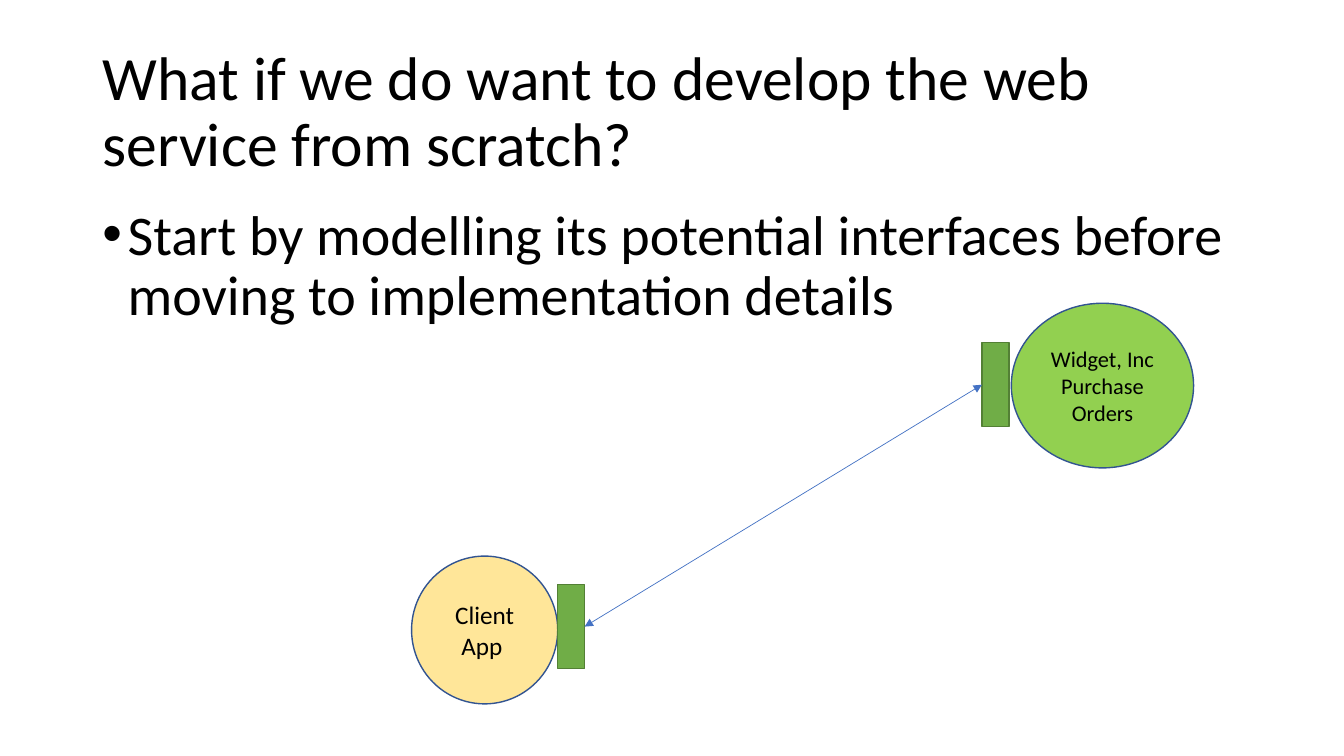
from lxml import etree
from pptx import Presentation
from pptx.dml.color import RGBColor
from pptx.enum.shapes import MSO_CONNECTOR, MSO_SHAPE
from pptx.enum.text import MSO_ANCHOR, MSO_AUTO_SIZE, PP_ALIGN
from pptx.oxml.ns import qn
from pptx.util import Inches, Pt

NODE, RECT = MSO_SHAPE.FLOWCHART_CONNECTOR, MSO_SHAPE.RECTANGLE
LINE = MSO_CONNECTOR.STRAIGHT
TOP, MID = MSO_ANCHOR.TOP, MSO_ANCHOR.MIDDLE
LEFT, CENTER = PP_ALIGN.LEFT, PP_ALIGN.CENTER
NOFIT = MSO_AUTO_SIZE.NONE

BLACK = RGBColor(0x00, 0x00, 0x00)
LIME = RGBColor(0x92, 0xD0, 0x50)
CREAM = RGBColor(0xFF, 0xE6, 0x99)
GREEN = RGBColor(0x70, 0xAD, 0x47)
MOSS = RGBColor(0x53, 0x80, 0x35)
NAVY = RGBColor(0x32, 0x54, 0x91)
BLUE = RGBColor(0x44, 0x72, 0xC4)

COLS, ROWS = 160, 90
WEST, EAST = 1, 3


class Deck:
    """Holds the style and the current slide, on a grid of 160 by 90."""
    font = "Calibri"

    def __init__(self):
        self.prs = Presentation()
        self.prs.slide_width = Inches(13.33)
        self.prs.slide_height = Inches(7.5)
        self.slide = self.prs.slides.add_slide(self.prs.slide_layouts[1])

    def spot(self, col, row, wide, high):
        x = self.prs.slide_width / COLS
        y = self.prs.slide_height / ROWS
        return [round(n) for n in (col * x, row * y, wide * x, high * y)]

    def label(self, frame, lines, size, align, anchor):
        frame.word_wrap = True
        frame.auto_size = NOFIT
        frame.vertical_anchor = anchor
        for i, line in enumerate(lines):
            para = frame.add_paragraph() if i else frame.paragraphs[0]
            para.alignment = align
            run = para.add_run()
            run.text = line
            run.font.name = self.font
            run.font.size = Pt(size)
            run.font.color.rgb = BLACK

    def holder(self, index, place, text, size, anchor, before=0):
        shape = self.slide.placeholders[index]
        shape.left, shape.top, shape.width, shape.height = self.spot(*place)
        self.label(shape.text_frame, [text], size, LEFT, anchor)
        para = shape.text_frame.paragraphs[0]
        para.line_spacing = 0.9
        para.space_before = Pt(before)
        return para

    def title(self, place, text):
        self.holder(0, place, text, 44, MID)

    def bullet(self, place, text):
        para = self.holder(1, place, text, 40, TOP, before=10)
        props = para._p.get_or_add_pPr()
        props.set("marL", str(Inches(0.25)))
        props.set("indent", str(Inches(-0.25)))
        etree.SubElement(props, qn("a:buFont"), typeface="Arial")
        etree.SubElement(props, qn("a:buChar"), char="•")

    def shape(self, kind, place, fill, edge):
        shape = self.slide.shapes.add_shape(kind, *self.spot(*place))
        shape.shadow.inherit = False
        shape.fill.solid()
        shape.fill.fore_color.rgb = fill
        shape.line.color.rgb = edge
        shape.line.width = Pt(1)
        return shape

    def node(self, place, fill, lines, size):
        shape = self.shape(NODE, place, fill, NAVY)
        self.label(shape.text_frame, lines, size, CENTER, MID)

    def port(self, col, row):
        return self.shape(RECT, (col, row, 3.2, 10), GREEN, MOSS)

    def link(self, start, end):
        line = self.slide.shapes.add_connector(LINE, 0, 0, 0, 0)
        line.begin_connect(start, EAST)
        line.end_connect(end, WEST)
        line.line.color.rgb = BLUE
        line.line.width = Pt(0.5)
        props = line._element.spPr
        stroke = props.find(qn("a:ln"))
        for tip in ("a:headEnd", "a:tailEnd"):
            etree.SubElement(stroke, qn(tip), type="triangle")
        etree.SubElement(props, qn("a:effectLst"))


def main():
    deck = Deck()

    # Title and bullet
    deck.title((11, 4.8, 138, 17.4),
               "What if we do want to develop the web service from scratch?")
    deck.bullet((11, 24, 138, 57.1),
                "Start by modelling its potential interfaces before "
                "moving to implementation details")

    # Service and client
    deck.node((120.4, 36.1, 21.7, 19.6), LIME,
              ["Widget, Inc", "Purchase Orders"], 16)
    deck.node((49, 66.2, 17.4, 17.6), CREAM, ["Client App "], 18)

    # Interfaces and the link between them
    client = deck.port(66.4, 69.6)
    service = deck.port(116.9, 40.8)
    deck.link(client, service)

    deck.prs.save("out.pptx")


if __name__ == "__main__":
    main()
